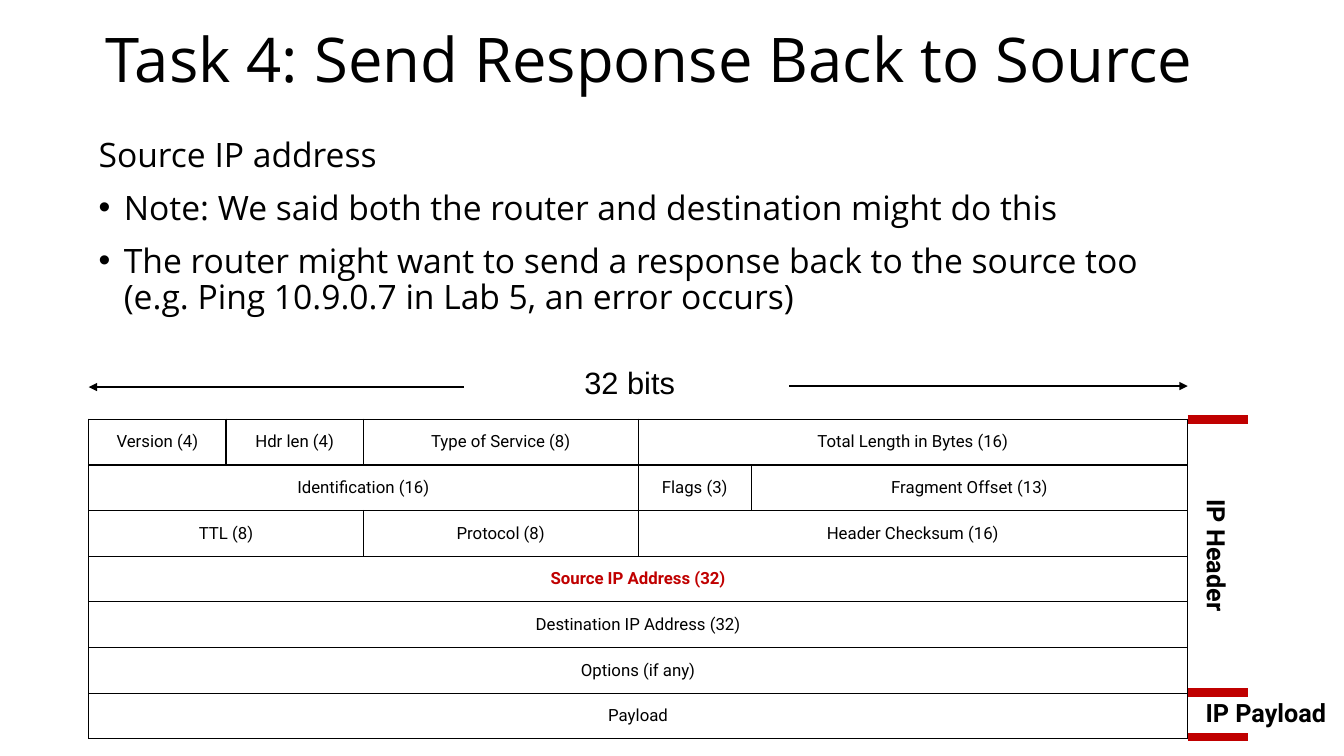
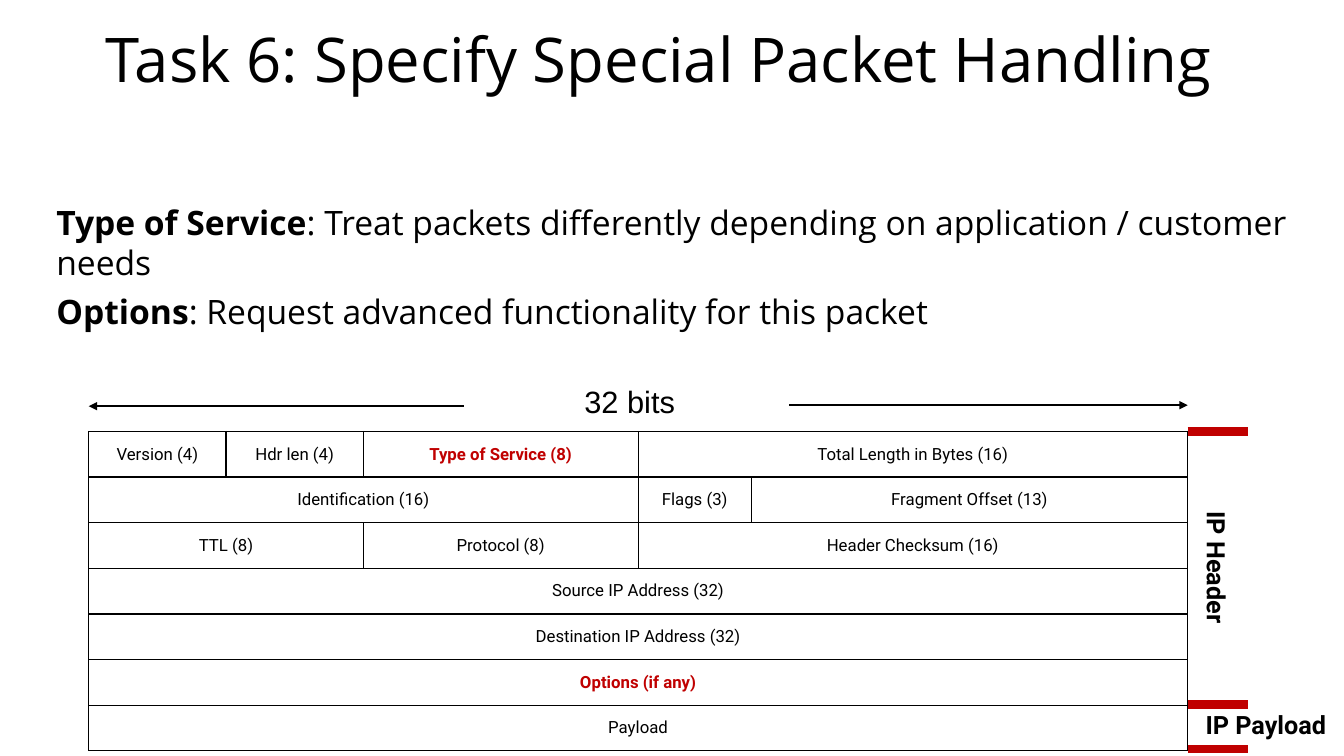
from lxml import etree
from pptx import Presentation, util as u
from pptx.dml.color import RGBColor
from pptx.enum import shapes, text
from pptx.oxml import ns, parse_xml

BLACK, RED, WHITE = "000000", "C00000", "FFFFFF"
LEFT, TABLE_W, ROW_H = 0.88, 10.9, 0.45
RIGHT = LEFT + TABLE_W
BIT = TABLE_W / 32
COLUMN_BITS = [4, 4, 4, 4, 3.3, 4.7, 4, 4]
HEADER_ROWS = [
    [("Version (4)", 1), ("Hdr len (4)", 1), ("Type of Service (8)", 2), ("Total Length in Bytes (16)", 4)],
    [("Identification (16)", 4), ("Flags (3)", 1), ("Fragment Offset (13)", 3)],
    [("TTL (8)", 2), ("Protocol (8)", 2), ("Header Checksum (16)", 4)],
    [("Source IP Address (32)", 8)],
    [("Destination IP Address (32)", 8)],
    [("Options (if any)", 8)],
    [("Payload", 8)],
]
BORDERS = "".join(
    f'<a:{side} w="12700"><a:solidFill><a:srgbClr val="{BLACK}"/></a:solidFill></a:{side}>'
    for side in ("lnL", "lnR", "lnT", "lnB"))

prs = Presentation()
prs.slide_width, prs.slide_height = u.Inches(13.33), u.Inches(7.5)


def write(frame, lines, size, font, color=BLACK, bold=False, bold_lead=False, centred=False,
          inset=(0.1, 0.05), wrap=True, bullets_from=None, **spacing):
    """Fill a text frame, one paragraph per line; bold_lead sets the words before a colon in bold."""
    frame.word_wrap = wrap
    frame.margin_left = frame.margin_right = u.Inches(inset[0])
    frame.margin_top = frame.margin_bottom = u.Inches(inset[1])
    for i, line in enumerate(lines):
        par = frame.add_paragraph() if i else frame.paragraphs[0]
        if bold_lead:
            lead, colon, rest = line.partition(":")
            par.add_run().text = lead
            par.add_run().text = colon + rest
        else:
            par.text = line
        for n, run in enumerate(par.runs):
            run.font.size, run.font.name = u.Pt(size), font
            run.font.bold = bold or (bold_lead and n == 0)
            run.font.color.rgb = RGBColor.from_string(color)
        par.alignment = text.PP_ALIGN.CENTER if centred else text.PP_ALIGN.LEFT
        for name, value in spacing.items():
            setattr(par, name, value)
        if bullets_from is not None and i >= bullets_from:
            props = par._p.get_or_add_pPr()
            props.set("marL", str(u.Inches(0.25)))
            props.set("indent", str(-u.Inches(0.25)))
            etree.SubElement(props, ns.qn("a:buFont"), typeface="Arial")
            etree.SubElement(props, ns.qn("a:buChar"), char="•")


def rule(slide, x1, x2, y, color, width, arrow=False):
    """Draw a level line, with an arrowhead at its end if asked."""
    line = slide.shapes.add_connector(
        shapes.MSO_CONNECTOR.STRAIGHT, *(u.Inches(v) for v in (x1, y, x2, y)))
    line.line.color.rgb, line.line.width = RGBColor.from_string(color), u.Pt(width)
    if arrow:
        etree.SubElement(line.line._get_or_add_ln(), ns.qn("a:tailEnd"), type="triangle")
    etree.SubElement(line._element.spPr, ns.qn("a:effectLst"))


task_slides = [
    dict(title="Task 4: Send Response Back to Source", top=4.16, arrow_y=3.83,
         marked=["Source IP Address (32)"], body_at=(0.88, 1.27, 11.5, 2.06),
         body=["Source IP address",
               "Note: We said both the router and destination might do this",
               "The router might want to send a response back to the source too\v"
               "(e.g. Ping 10.9.0.7 in Lab 5, an error occurs)"],
         style=dict(inset=(0.1, 0.1), bullets_from=1, line_spacing=0.9,
                    space_before=u.Pt(6), space_after=u.Pt(6))),
    dict(title="Task 6: Specify Special Packet Handling", top=4.28, arrow_y=4.02,
         marked=["Type of Service (8)", "Options (if any)"], body_at=(0.46, 1.95, 12.68, 0.99),
         body=["Type of Service: Treat packets differently depending on application / customer needs",
               "Options: Request advanced functionality for this packet"],
         style=dict(bold_lead=True, space_after=u.Pt(6))),
]

for task in task_slides:
    slide = prs.slides.add_slide(prs.slide_layouts[6])
    top, arrow_y = task["top"], task["arrow_y"]

    # Title, body and labels: place, lines, size, font, format, rotation
    label = dict(bold=True, centred=True, inset=(0.1, 0.1))
    for place, lines, size, font, style, turn in [
        ((0.95, 0.24, 11.43, 0.98), [task["title"]], 44, "Open Sans", dict(line_spacing=0.9), 0),
        (task["body_at"], task["body"], 24, "Open Sans", task["style"], 0),
        ((5.69, arrow_y - 0.27, 1.11, 0.47), ["32 bits"], 22, "Arial", dict(centred=True, wrap=False), 0),
        ((11.27, top + 1.1, 1.6, 0.5), ["IP Header"], 18, "Roboto", label, 90),
        ((RIGHT, top + 2.66, 1.55, 0.5), ["IP Payload"], 18, "Roboto", label, 0),
    ]:
        box = slide.shapes.add_textbox(*(u.Inches(v) for v in place))
        box.rotation = turn
        write(box.text_frame, lines, size, font, **style)

    # Packet layout
    packet = slide.shapes.add_table(
        len(HEADER_ROWS), len(COLUMN_BITS),
        *(u.Inches(v) for v in (LEFT, top, TABLE_W, ROW_H * len(HEADER_ROWS)))).table
    packet.first_row = packet.horz_banding = False
    for column, bits in zip(packet.columns, COLUMN_BITS):
        column.width = u.Inches(bits * BIT)
    for r, fields in enumerate(HEADER_ROWS):
        packet.rows[r].height = u.Inches(3.17 / len(HEADER_ROWS))
        for cell in packet.rows[r].cells:
            cell.fill.solid()
            cell.fill.fore_color.rgb = RGBColor.from_string(WHITE)
            borders = parse_xml(f'<a:tcPr {ns.nsdecls("a")}>{BORDERS}</a:tcPr>')
            for i, border in enumerate(list(borders)):
                cell._tc.get_or_add_tcPr().insert(i, border)
        c = 0
        for field, span in fields:
            cell = packet.cell(r, c)
            if span > 1:
                cell.merge(packet.cell(r, c + span - 1))
            marked = field in task["marked"]
            write(cell.text_frame, [field], 12, "Roboto", color=RED if marked else BLACK,
                  bold=marked, centred=True, inset=(0.03, 0.03))
            cell.margin_left = cell.margin_right = u.Inches(0.03)
            cell.margin_top = cell.margin_bottom = u.Inches(0.03)
            cell.vertical_anchor = text.MSO_ANCHOR.MIDDLE
            c += span

    # Width arrows and section marks
    rule(slide, 7.83, RIGHT, arrow_y, BLACK, 1.5, arrow=True)
    rule(slide, 4.6, LEFT, arrow_y + 0.01, BLACK, 1.5, arrow=True)
    for offset in (0, 2.71, 3.15):
        rule(slide, RIGHT, RIGHT + 0.6, top + offset, RED, 6)

prs.save("out.pptx")
